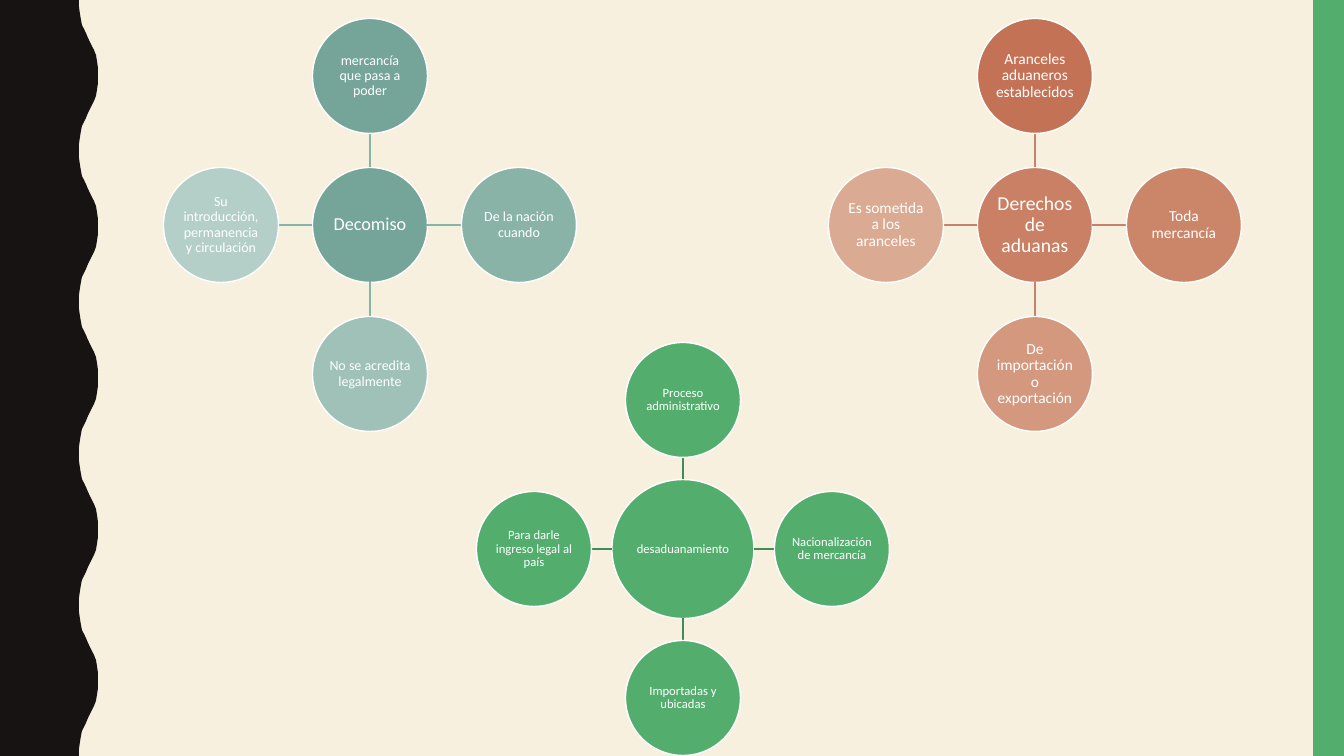
from pptx import Presentation
from pptx.dml.color import RGBColor
from pptx.enum.shapes import MSO_CONNECTOR as CONNECTOR, MSO_SHAPE as SHAPE
from pptx.enum.text import MSO_ANCHOR as ANCHOR, PP_ALIGN as ALIGN
from pptx.oxml.ns import qn
from pptx.util import Pt
from lxml.etree import SubElement

EMU_PER_PX = 914400 / 100.8
WIDTH, HEIGHT = 1344, 756
CIRCLE = 115  # diameter of the outer circles
REACH = 149  # from the middle of a hub to the middle of an outer circle
DIRECTIONS = [(0, -1), (1, 0), (0, 1), (-1, 0)]  # top, right, bottom, left

COLORS = {
    "cream": "F7F0DF", "black": "171312", "white": "FFFFFF",
    "green": "53AE6E", "green_line": "428B58",
    "teal": "75A498", "teal_right": "8AB3A8", "teal_bottom": "9FC1B8",
    "teal_left": "B4CFC8", "teal_line": "83B6A9",
    "rust": "BF6546", "rust_line": "C7816E",
}

# Wavy edge: half a wave as (x, y), then mirrored downwards
HALF_WAVE = [(79, 0), (79, 7), (80, 14), (81, 20), (82, 25), (84, 29), (86, 33),
             (88, 38), (90, 42), (92, 46), (94, 50), (96, 55), (97, 61),
             (98, 68), (98, 75.6)]
WAVE_LENGTH = 151.2
WAVES = 5

# Circle entries are (text, colour, opacity in percent)
WHEELS = [
    dict(center=(370, 225), hub=("Decomiso", "teal", 100), hub_size=(CIRCLE, CIRCLE),
         hub_pt=13, outer_pt=10, line="teal_line",
         outer=[("mercancía que pasa a poder", "teal", 100),
                ("De la nación cuando", "teal_right", 100),
                ("No se acredita legalmente", "teal_bottom", 100),
                ("Su introducción, permanencia y circulación", "teal_left", 100)]),
    dict(center=(1035, 225), hub=("Derechos de aduanas", "rust", 80),
         hub_size=(CIRCLE, CIRCLE), hub_pt=14, outer_pt=11, line="rust_line",
         outer=[("Aranceles aduaneros establecidos", "rust", 90),
                ("Toda mercancía", "rust", 77),
                ("De importación o exportación", "rust", 63),
                ("Es sometida a los aranceles", "rust", 50)]),
    dict(center=(683, 549), hub=("desaduanamiento", "green", 100), hub_size=(142, 139),
         hub_pt=9, outer_pt=9, line="green_line",
         outer=[("Proceso administrativo", "green", 100),
                ("Nacionalización de mercancía", "green", 100),
                ("Importadas y ubicadas", "green", 100),
                ("Para darle ingreso legal al país", "green", 100)]),
]


def px(length):
    """Turn pixels into EMU."""
    return round(length * EMU_PER_PX)


def color(name):
    """Look up a named colour."""
    return RGBColor.from_string(COLORS[name])


def paint(shape, fill, opacity=100, outline=None):
    """Set the fill, opacity and outline of a shape, without shadow."""
    shape.shadow.inherit = False
    shape.fill.solid()
    shape.fill.fore_color.rgb = color(fill)
    if opacity < 100:
        tint = shape.fill._xPr.find(qn("a:solidFill"))[0]
        SubElement(tint, qn("a:alpha"), val=str(opacity * 1000))
    if outline:
        shape.line.color.rgb = color(outline)
        shape.line.width = Pt(1)
    else:
        shape.line.fill.background()


def write(shape, text, size=10, ink="white", font="Calibri", spacing=0.9):
    """Put centred text into a shape, using its full text width."""
    frame = shape.text_frame
    frame.word_wrap = True
    frame.vertical_anchor = ANCHOR.MIDDLE
    frame.margin_left = frame.margin_right = 0
    frame.margin_top = frame.margin_bottom = px(1)
    paragraph = frame.paragraphs[0]
    paragraph.alignment = ALIGN.CENTER
    paragraph.line_spacing = spacing
    run = paragraph.add_run()
    run.text = text
    run.font.name = font
    run.font.size = Pt(size)
    run.font.color.rgb = color(ink)


def add_circle(shapes, center, diameters, entry, size):
    """Draw a labelled circle around its middle."""
    text, fill, opacity = entry
    (x, y), (width, height) = center, diameters
    circle = shapes.add_shape(SHAPE.OVAL, px(x - width / 2), px(y - height / 2),
                              px(width), px(height))
    paint(circle, fill, opacity, outline="white")
    write(circle, text, size=size)


def add_spoke(shapes, start, end, ink):
    """Draw a plain line between two points."""
    spoke = shapes.add_connector(CONNECTOR.STRAIGHT, *map(px, start + end))
    spoke.line.color.rgb = color(ink)
    spoke.line.width = Pt(1)
    SubElement(spoke._element.spPr, qn("a:effectLst"))


def add_wheel(slide, center, hub, hub_size, hub_pt, outer_pt, line, outer):
    """Draw a hub with four circles around it, as one group."""
    shapes = slide.shapes.add_group_shape().shapes
    add_circle(shapes, center, hub_size, hub, hub_pt)
    x, y = center
    gap_end = REACH - CIRCLE / 2
    for (dx, dy), entry in zip(DIRECTIONS, outer):
        hub_edge = (x + dx * hub_size[0] / 2, y + dy * hub_size[1] / 2)
        add_spoke(shapes, hub_edge, (x + dx * gap_end, y + dy * gap_end), line)
        add_circle(shapes, (x + dx * REACH, y + dy * REACH), (CIRCLE, CIRCLE),
                   entry, outer_pt)


def add_wavy_band(slide):
    """Draw the dark band with a wavy right edge."""
    falling = [(x, WAVE_LENGTH - y) for x, y in reversed(HALF_WAVE[:-1])]
    edge = [(x, y + wave * WAVE_LENGTH)
            for wave in range(WAVES) for x, y in HALF_WAVE + falling]
    builder = slide.shapes.build_freeform(0, 0, scale=EMU_PER_PX)
    builder.add_line_segments(edge + [(0, HEIGHT)], close=True)
    paint(builder.convert_to_shape(), "black")


def add_side_bar(slide):
    """Draw the green bar along the right side."""
    left = 1313
    bar = slide.shapes.add_shape(SHAPE.RECTANGLE, px(left), 0,
                                 px(WIDTH - left), px(HEIGHT))
    paint(bar, "green")


def main():
    """Build and save the slide."""
    deck = Presentation()
    deck.slide_width, deck.slide_height = px(WIDTH), px(HEIGHT)
    slide = deck.slides.add_slide(deck.slide_layouts[6])
    slide.background.fill.solid()
    slide.background.fill.fore_color.rgb = color("cream")
    add_wavy_band(slide)
    add_side_bar(slide)
    for wheel in WHEELS:
        add_wheel(slide, **wheel)
    deck.save("out.pptx")


main()
